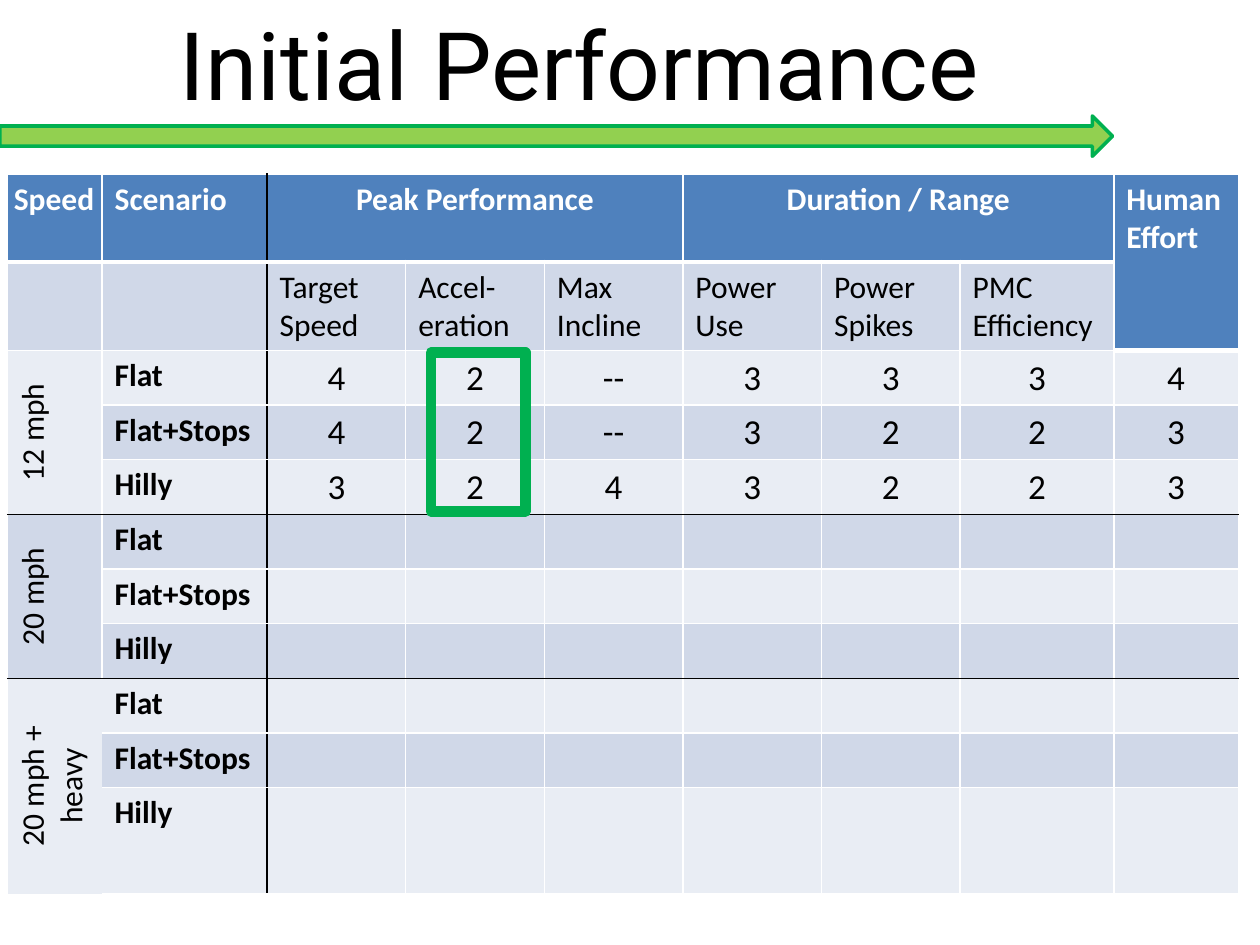
from lxml.etree import SubElement
from pptx import Presentation
from pptx.dml.color import RGBColor
from pptx.enum.shapes import MSO_SHAPE
from pptx.enum.text import MSO_ANCHOR, MSO_AUTO_SIZE, PP_ALIGN
from pptx.oxml.ns import qn
from pptx.util import Inches, Pt

COLORS = {
    "black": "000000", "white": "FFFFFF", "header": "4F81BD",
    "dark": "D0D8E8", "light": "E9EDF4", "lime": "92D050", "green": "00B050",
}
TITLE = "Initial Performance"
HEADERS = ["Speed", "Scenario", "Peak Performance", "", "",
           "Duration / Range", "", "", "Human Effort"]
MEASURES = ["", "", "Target Speed", "Accel-eration", "Max Incline",
            "Power Use", "Power Spikes", "PMC Efficiency", ""]
SPEEDS = ["12 mph", "20 mph", "20 mph + heavy"]
SCENARIOS = ["Flat", "Flat+Stops", "Hilly"]
SCORES = [
    ["4", "2", "--", "3", "3", "3", "4"],
    ["4", "2", "--", "3", "2", "2", "3"],
    ["3", "2", "4", "3", "2", "2", "3"],
]
COLUMNS = [0.75, 1.31] + [1.1] * 5 + [1.22, 0.99]
ROWS = [0.7, 0.31] + [0.41] * 9
LEFT, TOP, HEIGHT = 0.06, 1.38, 5.3
GROUP_STARTS = [2, 5, 8]
SCORE_COL, HUMAN_COL = 2, 8


def rgb(name):
    return RGBColor.from_string(COLORS[name])


def build_rows():
    rows = [HEADERS, MEASURES]
    for g, speed in enumerate(SPEEDS):
        for i, scenario in enumerate(SCENARIOS):
            scores = SCORES[i] if g == 0 else [""] * 7
            rows.append([speed if i == 0 else "", scenario] + scores)
    return rows


def set_border(tc_pr, side, color, width):
    ln = SubElement(tc_pr, qn("a:" + side), w=str(Pt(width)))
    if color is None:
        SubElement(ln, qn("a:noFill"))
    else:
        fill = SubElement(ln, qn("a:solidFill"))
        SubElement(fill, qn("a:srgbClr"), val=COLORS[color])


def style_borders(cell, r, c):
    last_group = r >= GROUP_STARTS[2]
    open_left = last_group and c <= 1
    open_side = last_group and c == 0
    thick = r == 0 or (r == 1 and c == HUMAN_COL)
    tc_pr = cell._tc.get_or_add_tcPr()
    set_border(tc_pr, "lnL", None if open_left else "black" if c == SCORE_COL else "white", 1)
    set_border(tc_pr, "lnR", None if open_side else "black" if c == SCORE_COL - 1 else "white", 1)
    set_border(tc_pr, "lnT", "black" if r in GROUP_STARTS[1:] else "white", 1)
    set_border(tc_pr, "lnB", None if open_side else "black" if r + 1 in GROUP_STARTS[1:] else "white",
               3 if thick else 1)


def style_cell(cell, r, c, text):
    header = r == 0 or (r == 1 and c == HUMAN_COL)
    score = r >= 2 and c >= SCORE_COL
    speed = r >= 2 and c == 0
    style_borders(cell, r, c)
    cell.fill.solid()
    cell.fill.fore_color.rgb = rgb("header" if header else "dark" if r % 2 else "light")
    if r == c == 0:
        cell.margin_left = cell.margin_right = Inches(0.05)
    if speed:
        cell._tc.get_or_add_tcPr().set("vert", "vert270")
        cell.vertical_anchor = MSO_ANCHOR.MIDDLE
    p = cell.text_frame.paragraphs[0]
    size = 20 if score else 18
    if text:
        p.text = text
    else:
        p._p.get_or_add_endParaRPr().set("sz", str(size * 100))
    p.font.name = "Calibri"
    p.font.size = Pt(size)
    p.font.bold = header or (r >= 2 and c == 1)
    p.font.color.rgb = rgb("white" if header else "black")
    if score or speed or (r == 0 and SCORE_COL <= c < HUMAN_COL):
        p.alignment = PP_ALIGN.CENTER


def add_table(s):
    rows = build_rows()
    table = s.shapes.add_table(len(ROWS), len(COLUMNS), Inches(LEFT), Inches(TOP),
                               Inches(sum(COLUMNS)), Inches(HEIGHT)).table
    for column, width in zip(table.columns, COLUMNS):
        column.width = Inches(width)
    for row, height in zip(table.rows, ROWS):
        row.height = Inches(height)
    for r, row in enumerate(rows):
        for c, text in enumerate(row):
            style_cell(table.cell(r, c), r, c, text)
    merges = [((0, 2), (0, 4)), ((0, 5), (0, 7)), ((0, HUMAN_COL), (1, HUMAN_COL))]
    merges += [((start, 0), (start + 2, 0)) for start in GROUP_STARTS]
    for first, last in merges:
        table.cell(*first).merge(table.cell(*last))


def add_outlined(s, kind, box, width, fill=None):
    sp = s.shapes.add_shape(kind, *map(Inches, box))
    sp.shadow.inherit = False
    if fill:
        sp.fill.solid()
        sp.fill.fore_color.rgb = rgb(fill)
    else:
        sp.fill.background()
    sp.line.color.rgb = rgb("green")
    sp.line.width = Pt(width)


def add_title(s):
    tf = s.shapes.add_textbox(Inches(1.33), 0, Inches(8.83), Inches(1.01)).text_frame
    tf.word_wrap = True
    tf.auto_size = MSO_AUTO_SIZE.SHAPE_TO_FIT_TEXT
    p = tf.paragraphs[0]
    p.text = TITLE
    p.font.name = "Roboto"
    p.font.size = Pt(54)
    p.font.color.rgb = rgb("black")


def main():
    prs = Presentation()
    prs.slide_width, prs.slide_height = Inches(10), Inches(7.5)
    s = prs.slides.add_slide(prs.slide_layouts[6])
    add_title(s)
    add_outlined(s, MSO_SHAPE.RIGHT_ARROW, (0, 0.92, 8.83, 0.32), 2, "lime")
    add_table(s)
    add_outlined(s, MSO_SHAPE.RECTANGLE, (3.42, 2.8, 0.75, 1.26), 6)
    prs.save("out.pptx")


if __name__ == "__main__":
    main()
